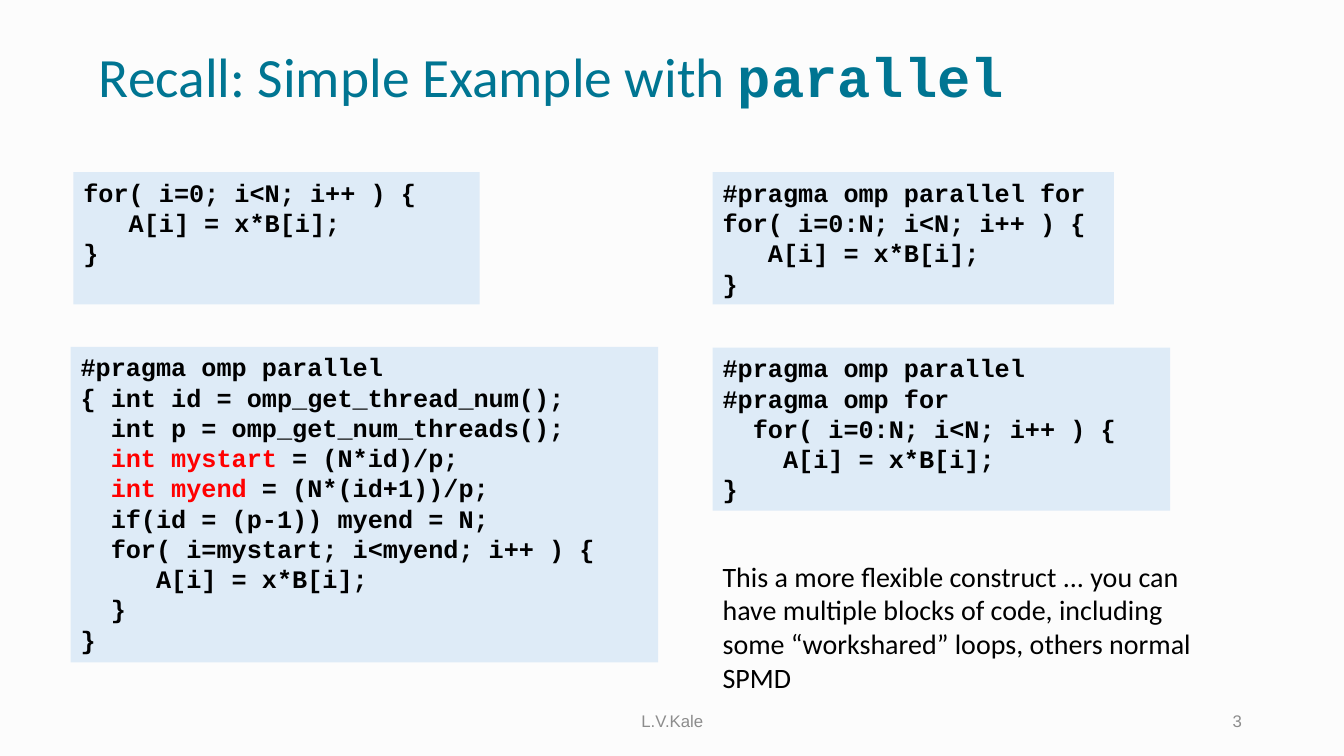
"""Build a slide comparing ways to write a parallel loop in OpenMP."""
from pptx import Presentation
from pptx import util as u
from pptx.dml.color import RGBColor
from pptx.enum import shapes, text

PAPER = RGBColor(0xFC, 0xFC, 0xFC)
TEAL = RGBColor(0x00, 0x75, 0x92)
PALE = RGBColor(0xDE, 0xEB, 0xF7)
GRAY = RGBColor(0x8C, 0x8C, 0x8C)
BLACK = RGBColor(0, 0, 0)
RED = RGBColor(0xFF, 0, 0)
LEFT, CENTER, RIGHT = text.PP_ALIGN.LEFT, text.PP_ALIGN.CENTER, text.PP_ALIGN.RIGHT
TOP, MIDDLE = text.MSO_ANCHOR.TOP, text.MSO_ANCHOR.MIDDLE


def style(font, name, size, color, bold=False):
    font.name, font.size, font.bold = name, u.Pt(size), bold
    font.color.rgb = color


deck = Presentation()
deck.slide_width, deck.slide_height = u.Cm(33.87), u.Cm(19.05)
slide = deck.slides.add_slide(deck.slide_layouts[5])
slide.background.fill.solid()
slide.background.fill.fore_color.rgb = PAPER

title = slide.shapes.title
title.left, title.top, title.width, title.height = u.Cm(2.24), u.Cm(1.02), u.Cm(29.31), u.Cm(1.98)
frame = title.text_frame
frame.auto_size = text.MSO_AUTO_SIZE.NONE
frame.vertical_anchor = MIDDLE
head = frame.paragraphs[0]
head.alignment, head.line_spacing = LEFT, 0.9
for words, face, bold in (("Recall: Simple Example with ", "Calibri", False),
                          ("parallel", "Courier New", True)):
    run = head.add_run()
    run.text = words
    style(run.font, face, 39.6, TEAL, bold)

serial = """for( i=0; i<N; i++ ) {
   A[i] = x*B[i];
}"""
manual = """#pragma omp parallel
{ int id = omp_get_thread_num();
  int p = omp_get_num_threads();
  int mystart = (N*id)/p;
  int myend = (N*(id+1))/p;
  if(id = (p-1)) myend = N;
  for( i=mystart; i<myend; i++ ) {
     A[i] = x*B[i];
  }
}"""
short = """#pragma omp parallel for
for( i=0:N; i<N; i++ ) {
   A[i] = x*B[i];
}"""
split = """#pragma omp parallel
#pragma omp for
  for( i=0:N; i<N; i++ ) {
    A[i] = x*B[i];
}"""
marked = ("int mystart", "int myend")

for code, left, top, width, height in (
        (serial, 1.85, 4.34, 10.24, 3.33),
        (manual, 1.78, 8.74, 14.81, 7.95),
        (short, 17.96, 4.34, 10.11, 3.33),
        (split, 17.96, 8.76, 11.53, 4.11)):
    box = slide.shapes.add_shape(shapes.MSO_SHAPE.RECTANGLE,
                                 u.Cm(left), u.Cm(top), u.Cm(width), u.Cm(height))
    box.shadow.inherit = False
    box.fill.solid()
    box.fill.fore_color.rgb = PALE
    box.line.fill.background()
    frame = box.text_frame
    frame.word_wrap, frame.vertical_anchor = True, TOP
    for i, line in enumerate(code.split("\n")):
        para = frame.add_paragraph() if i else frame.paragraphs[0]
        para.alignment, para.line_spacing = LEFT, u.Pt(21.6)
        style(para.font, "Courier New", 18, BLACK, True)
        key = next((m for m in marked if m in line), "")
        for part in line.partition(key) if key else (line,):
            run = para.add_run()
            run.text = part
            if part == key:
                run.font.color.rgb = RED

note = ("This a more flexible construct ... you can have multiple blocks of code, "
        "including some “workshared” loops, others normal SPMD")
for words, left, top, width, height, face, size, color, align, anchor in (
        (note, 17.96, 13.97, 13, 3.68, "Calibri", 20, BLACK, LEFT, TOP),
        ("L.V.Kale", 11.23, 17.65, 11.43, 1.02, "Arial", 12, GRAY, CENTER, MIDDLE),
        ("3", 23.93, 17.65, 7.62, 1.02, "Arial", 12, GRAY, RIGHT, MIDDLE)):
    box = slide.shapes.add_textbox(u.Cm(left), u.Cm(top), u.Cm(width), u.Cm(height))
    frame = box.text_frame
    frame.word_wrap, frame.vertical_anchor = True, anchor
    para = frame.paragraphs[0]
    para.text, para.alignment = words, align
    style(para.font, face, size, color)

deck.save("out.pptx")
